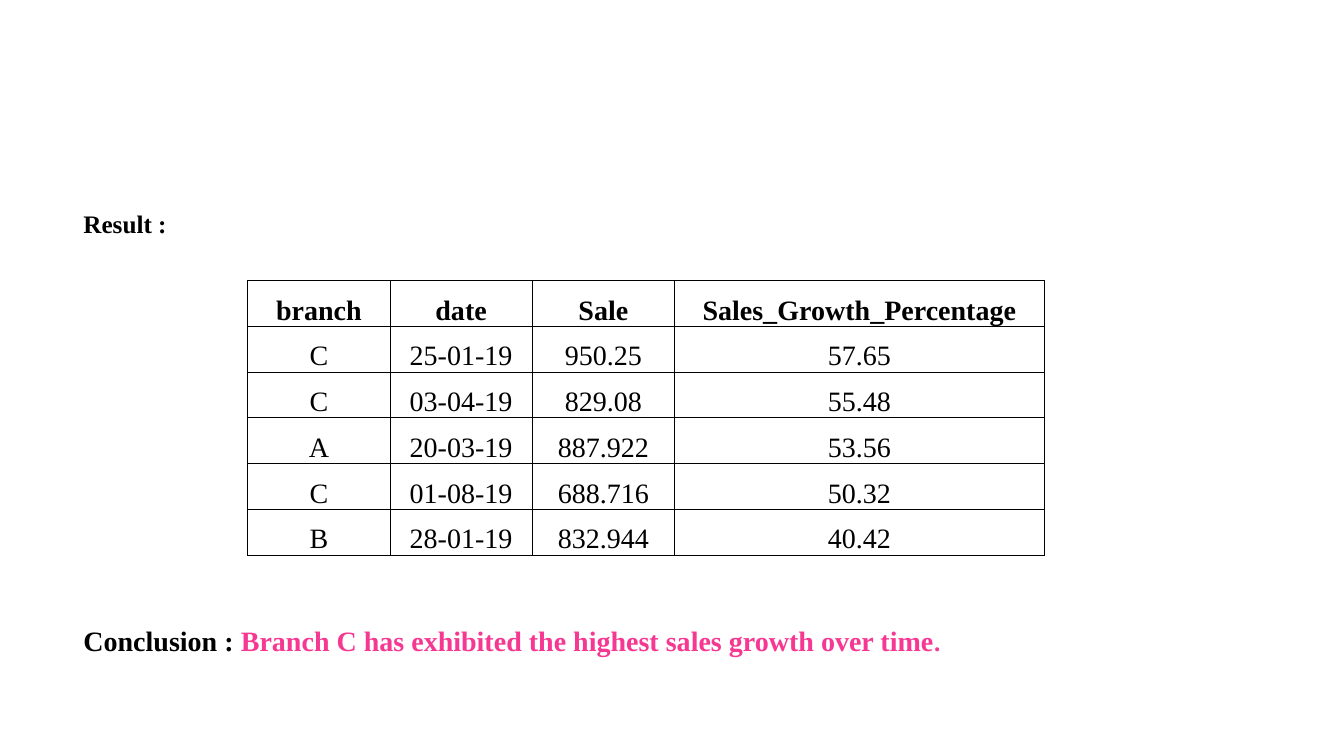
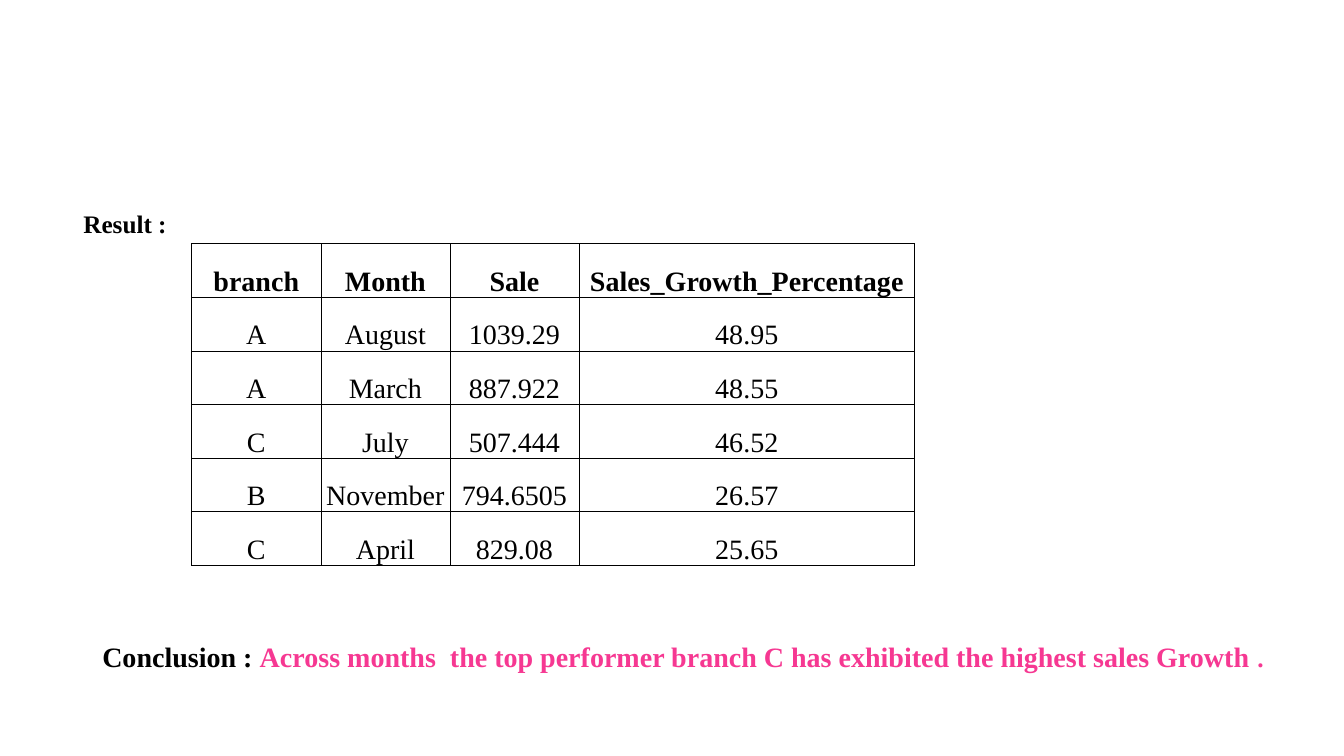
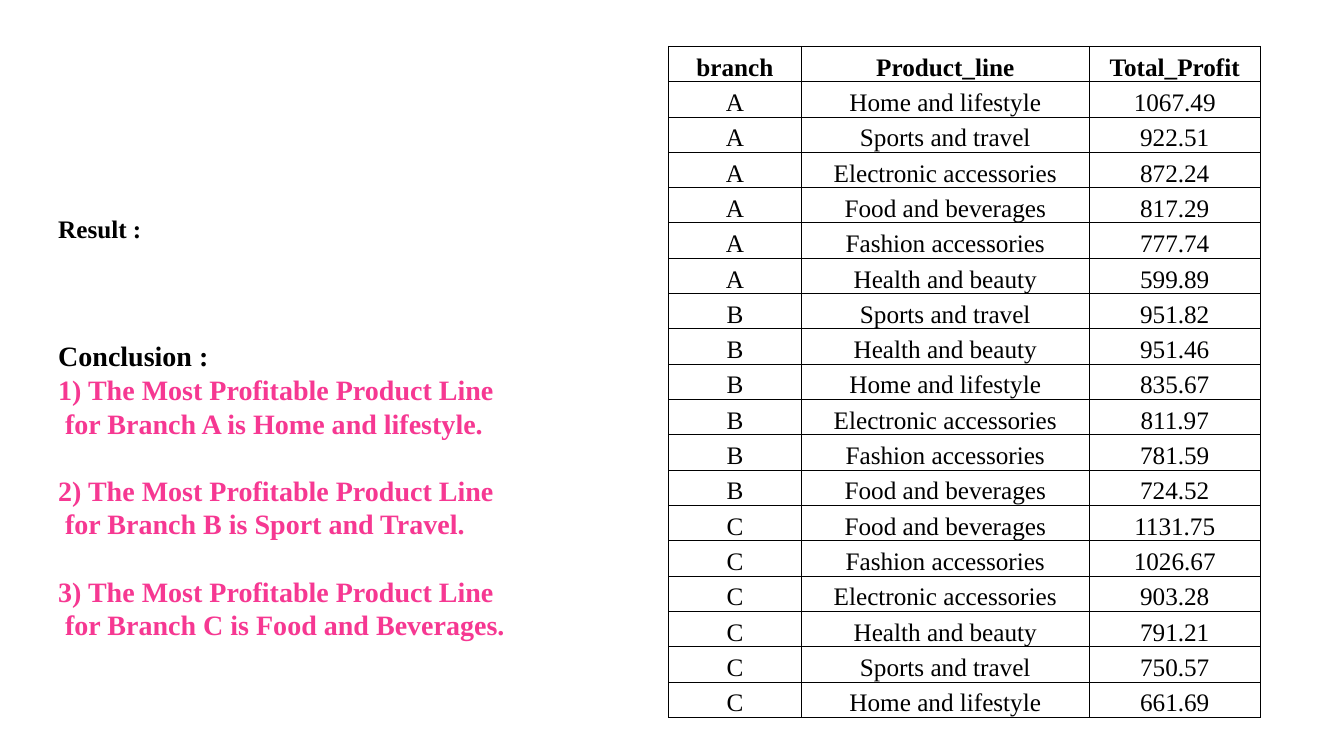
from lxml import etree
from pptx import Presentation
from pptx.dml.color import RGBColor
from pptx.enum import text
from pptx.oxml import ns
from pptx.util import Pt

FONT = "Times New Roman"
BLACK, PINK = "000000", "F63892"
RESULT_SIZE, CONCLUSION_SIZE = 18, 20
TEXT_WIDTH = 856


def style(font, size, bold, colour=BLACK):
    font.name, font.size, font.bold = FONT, Pt(size), bold
    font.color.rgb = RGBColor.from_string(colour)


def add_lines(slide, left, top, height, size, lines):
    """Each line is (space before, [(words, colour, size), ...])."""
    box = slide.shapes.add_textbox(Pt(left), Pt(top), Pt(TEXT_WIDTH), Pt(height))
    frame = box.text_frame
    frame.word_wrap = True
    frame.auto_size = text.MSO_AUTO_SIZE.SHAPE_TO_FIT_TEXT
    for index, (gap, runs) in enumerate(lines):
        line = frame.add_paragraph() if index else frame.paragraphs[0]
        line.space_before = Pt(gap)
        line.line_spacing = Pt(1.2 * size)
        for words, colour, run_size in runs:
            run = line.add_run()
            run.text = words
            style(run.font, run_size, True, colour)


# Sales growth by date
daily_growth = [
    ("branch", "date", "Sale", "Sales_Growth_Percentage"),
    ("C", "25-01-19", "950.25", "57.65"),
    ("C", "03-04-19", "829.08", "55.48"),
    ("A", "20-03-19", "887.922", "53.56"),
    ("C", "01-08-19", "688.716", "50.32"),
    ("B", "28-01-19", "832.944", "40.42"),
]

# Sales growth by month
monthly_growth = [
    ("branch", "Month", "Sale", "Sales_Growth_Percentage"),
    ("A", "August", "1039.29", "48.95"),
    ("A", "March", "887.922", "48.55"),
    ("C", "July", "507.444", "46.52"),
    ("B", "November", "794.6505", "26.57"),
    ("C", "April", "829.08", "25.65"),
]

# Profit by branch and product line
HOME, SPORTS, ELECTRONIC = "Home and lifestyle", "Sports and travel", "Electronic accessories"
FOOD, FASHION, HEALTH = "Food and beverages", "Fashion accessories", "Health and beauty"
branch_profits = {
    "A": [(HOME, "1067.49"), (SPORTS, "922.51"), (ELECTRONIC, "872.24"),
          (FOOD, "817.29"), (FASHION, "777.74"), (HEALTH, "599.89")],
    "B": [(SPORTS, "951.82"), (HEALTH, "951.46"), (HOME, "835.67"),
          (ELECTRONIC, "811.97"), (FASHION, "781.59"), (FOOD, "724.52")],
    "C": [(FOOD, "1131.75"), (FASHION, "1026.67"), (ELECTRONIC, "903.28"),
          (HEALTH, "791.21"), (SPORTS, "750.57"), (HOME, "661.69")],
}
product_profit = [("branch", "Product_line", "Total_Profit")]
for branch, profits in branch_profits.items():
    product_profit += [(branch, *profit) for profit in profits]

# Conclusions
daily_conclusion, monthly_conclusion = [
    [(0, [("Conclusion : ", BLACK, CONCLUSION_SIZE), (finding, PINK, CONCLUSION_SIZE),
          (".", PINK, RESULT_SIZE)])]
    for finding in ("Branch C has exhibited the highest sales growth over time",
                    "Across months  the top performer branch C has exhibited the highest sales Growth ")
]
profit_conclusion = [(0, [("Conclusion :", BLACK, CONCLUSION_SIZE)])]
best_lines = [("A", "Home and lifestyle"), ("B", "Sport and Travel"), ("C", "Food and Beverages")]
for number, (branch, product) in enumerate(best_lines, 1):
    profit_conclusion += [
        (24 if number > 1 else 0,
         [(f"{number}) The Most Profitable Product Line", PINK, CONCLUSION_SIZE)]),
        (0, [(f" for Branch {branch} is {product}.", PINK, CONCLUSION_SIZE)]),
    ]

# Result position, table (left, top, columns, row height, size), conclusion (left, top, height)
pages = [
    (daily_growth, (52.5, 145), (177, 200.3, [101.6] * 3 + [264.2], 32.7, 20),
     daily_conclusion, (52.5, 442, 31.5)),
    (monthly_growth, (52.5, 145), (137, 174, [92.2] * 3 + [239.8], 38.3, 20),
     monthly_conclusion, (66, 453, 31.5)),
    (product_profit, (34.5, 149), (477.5, 33, [95, 205.5, 122.3], 25.24, 18),
     profit_conclusion, (34.5, 238.5, 273.6)),
]

deck = Presentation()
deck.slide_width, deck.slide_height = Pt(960), Pt(540)

for rows, result_at, grid, conclusion, conclusion_at in pages:
    slide = deck.slides.add_slide(deck.slide_layouts[6])

    # Result heading and conclusion
    add_lines(slide, *result_at, 29, RESULT_SIZE, [(0, [("Result :", BLACK, RESULT_SIZE)])])
    add_lines(slide, *conclusion_at, CONCLUSION_SIZE, conclusion)

    # Result table
    left, top, widths, row_height, size = grid
    table = slide.shapes.add_table(len(rows), len(widths), Pt(left), Pt(top),
                                   Pt(sum(widths)), Pt(row_height * len(rows))).table
    table.first_row = table.horz_banding = False
    for column, width in zip(table.columns, widths):
        column.width = Pt(width)
    for row_index, values in enumerate(rows):
        table.rows[row_index].height = Pt(row_height)
        for column_index, value in enumerate(values):
            cell = table.cell(row_index, column_index)
            cell.text = value
            cell.vertical_anchor = text.MSO_ANCHOR.BOTTOM
            cell.margin_left = cell.margin_right = cell.margin_top = Pt(0.75)
            cell.margin_bottom = 0
            entry = cell.text_frame.paragraphs[0]
            entry.alignment = text.PP_ALIGN.CENTER
            style(entry.font, size, row_index == 0)
            # Thin black border on every side
            properties = cell._tc.get_or_add_tcPr()
            for side in ("a:lnL", "a:lnR", "a:lnT", "a:lnB"):
                border = etree.SubElement(properties, ns.qn(side), w=str(Pt(0.5)))
                fill = etree.SubElement(border, ns.qn("a:solidFill"))
                etree.SubElement(fill, ns.qn("a:srgbClr"), val=BLACK)
            cell.fill.background()

deck.save("out.pptx")
